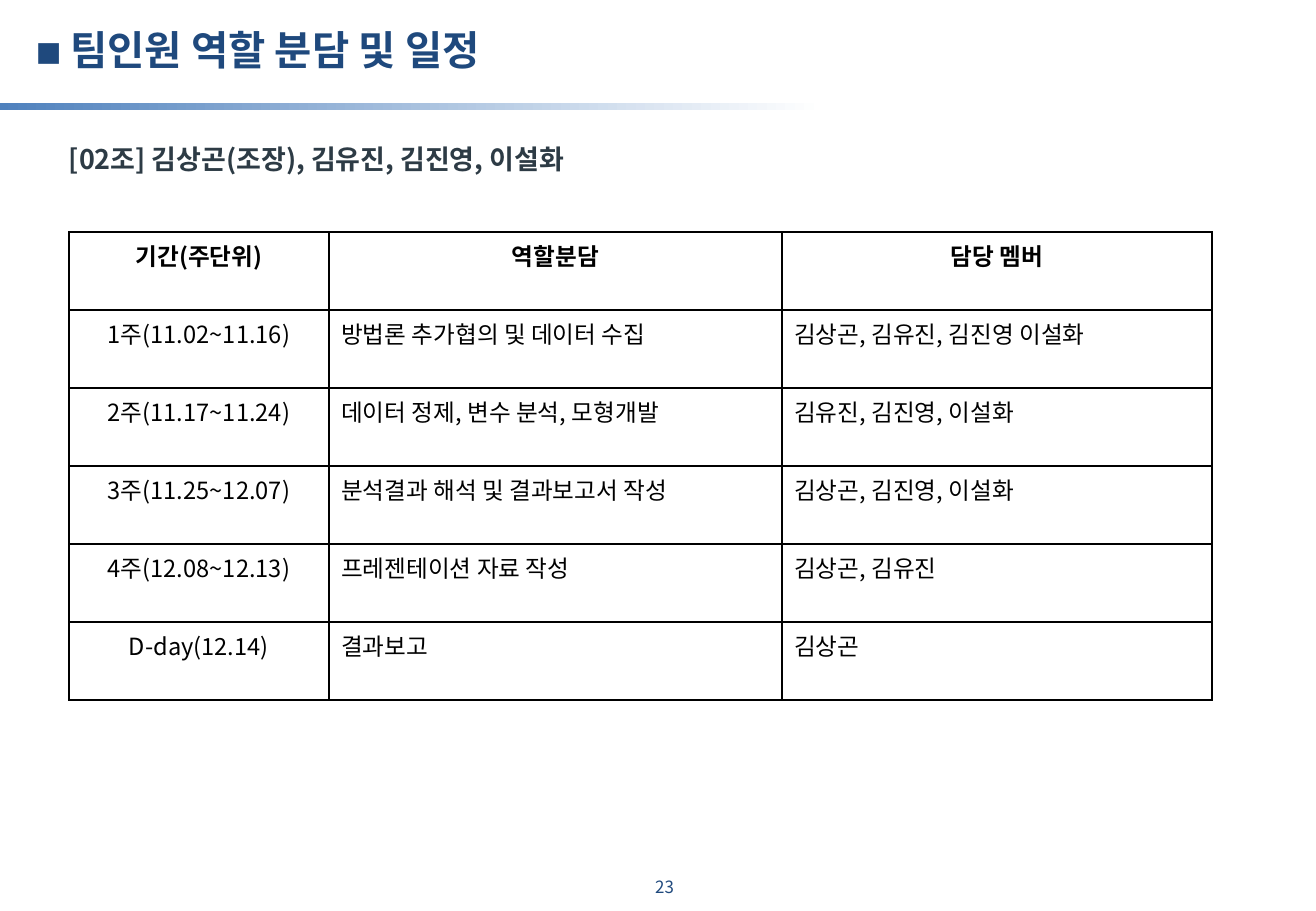
"""Build the slide on team roles and schedule."""
from dataclasses import dataclass

import pptx
import pptx.dml.color
import pptx.enum.shapes
import pptx.enum.text
import pptx.oxml.ns
import pptx.util
from lxml import etree

TITLE = "◼ 팀인원 역할 분담 및 일정"
TEAM = "[02조] 김상곤(조장), 김유진, 김진영, 이설화"
PAGE_NUMBER = "23"
SCHEDULE = [
    ("기간(주단위)", "역할분담", "담당 멤버"),
    ("1주(11.02~11.16)", "방법론 추가협의 및 데이터 수집", "김상곤, 김유진, 김진영 이설화"),
    ("2주(11.17~11.24)", "데이터 정제, 변수 분석, 모형개발", "김유진, 김진영, 이설화"),
    ("3주(11.25~12.07)", "분석결과 해석 및 결과보고서 작성", "김상곤, 김진영, 이설화"),
    ("4주(12.08~12.13)", "프레젠테이션 자료 작성", "김상곤, 김유진"),
    ("D-day(12.14)", "결과보고", "김상곤"),
]

SLIDE_SIZE = (1316, 911)
TITLE_BOX = (36, 24, 1012, 61)
BAR_BOX = (-1, 103, 824, 7)
TEAM_BOX = (69, 146, 640, 43)
PAGE_BOX = (626, 869, 67, 38)
TABLE_ORIGIN = (69, 232)
COLUMN_WIDTHS = (260, 453, 430)
ROW_HEIGHT = 78
EMU_PER_PX = 7526


@dataclass(frozen=True)
class Theme:
    """Hold the font, colours and type sizes."""
    font: str = "Noto Sans CJK KR"
    navy: str = "1F497D"
    blue: str = "4F81BD"
    white: str = "FFFFFF"
    slate: str = "2D3B45"
    black: str = "000000"
    title_size: int = 24
    team_size: int = 16
    table_size: int = 14
    page_size: int = 10
    border_width: int = 1
    line_spacing: float = 0.9


THEME = Theme()
ALIGN = pptx.enum.text.PP_ALIGN


def px(*lengths):
    """Turn pixel lengths into EMU."""
    return [pptx.util.Emu(length * EMU_PER_PX) for length in lengths]


def rgb(value):
    """Return a colour from its hex value."""
    return pptx.dml.color.RGBColor.from_string(value)


def write(text_frame, text, size, color, bold=False, align=ALIGN.LEFT, line_spacing=None):
    """Write one formatted paragraph and return it."""
    paragraph = text_frame.paragraphs[0]
    paragraph.alignment = align
    paragraph.line_spacing = line_spacing
    run = paragraph.add_run()
    run.text = text
    run.font.name = THEME.font
    run.font.size = pptx.util.Pt(size)
    run.font.bold = bold
    run.font.color.rgb = rgb(color)
    east_asian = etree.SubElement(run.font._element, pptx.oxml.ns.qn("a:ea"))
    east_asian.set("typeface", THEME.font)
    return paragraph


def set_frame(text_frame, margins):
    """Set wrapping, top anchoring and margins given as left, top, right, bottom."""
    text_frame.word_wrap = True
    text_frame.auto_size = pptx.enum.text.MSO_AUTO_SIZE.NONE
    text_frame.vertical_anchor = pptx.enum.text.MSO_ANCHOR.TOP
    (text_frame.margin_left, text_frame.margin_top,
     text_frame.margin_right, text_frame.margin_bottom) = px(*margins)


def add_title(slide):
    """Place and format the title."""
    title = slide.shapes.title
    title.left, title.top, title.width, title.height = px(*TITLE_BOX)
    set_frame(title.text_frame, (0, 6, 12, 6))
    paragraph = write(title.text_frame, TITLE, THEME.title_size, THEME.navy,
                      bold=True, line_spacing=THEME.line_spacing)
    properties = paragraph._p.get_or_add_pPr()
    hanging = px(24)[0]
    properties.set("marL", str(hanging))
    properties.set("indent", str(-hanging))


def add_bar(slide):
    """Add the fading bar below the title."""
    bar = slide.shapes.add_shape(pptx.enum.shapes.MSO_SHAPE.RECTANGLE, *px(*BAR_BOX))
    bar.shadow.inherit = False
    bar.line.fill.background()
    bar.fill.gradient()
    bar.fill.gradient_angle = 0
    for stop, color in zip(bar.fill.gradient_stops, (THEME.blue, THEME.white)):
        stop.color.rgb = rgb(color)


def add_label(slide, box, margins, text, **text_format):
    """Add a text box with one paragraph."""
    label = slide.shapes.add_textbox(*px(*box))
    set_frame(label.text_frame, margins)
    write(label.text_frame, text, line_spacing=THEME.line_spacing, **text_format)


def set_borders(cell):
    """Draw a line on each side of a cell."""
    properties = cell._tc.get_or_add_tcPr()
    for side in ("a:lnL", "a:lnR", "a:lnT", "a:lnB"):
        line = etree.SubElement(properties, pptx.oxml.ns.qn(side))
        line.set("w", str(pptx.util.Pt(THEME.border_width)))
        fill = etree.SubElement(line, pptx.oxml.ns.qn("a:solidFill"))
        etree.SubElement(fill, pptx.oxml.ns.qn("a:srgbClr")).set("val", THEME.black)


def add_schedule(slide):
    """Add the schedule table."""
    size = (sum(COLUMN_WIDTHS), ROW_HEIGHT * len(SCHEDULE))
    table = slide.shapes.add_table(len(SCHEDULE), len(COLUMN_WIDTHS),
                                   *px(*TABLE_ORIGIN, *size)).table
    table.first_row = table.horz_banding = False
    for column, width in zip(table.columns, px(*COLUMN_WIDTHS)):
        column.width = width
    for row_index, texts in enumerate(SCHEDULE):
        table.rows[row_index].height = px(ROW_HEIGHT)[0]
        for column_index, text in enumerate(texts):
            cell = table.cell(row_index, column_index)
            is_header = row_index == 0
            centred = is_header or column_index == 0
            write(cell.text_frame, text, THEME.table_size, THEME.black, bold=is_header,
                  align=ALIGN.CENTER if centred else ALIGN.LEFT)
            set_borders(cell)
            cell.fill.background()


def main():
    """Build and save the presentation."""
    presentation = pptx.Presentation()
    presentation.slide_width, presentation.slide_height = px(*SLIDE_SIZE)
    slide = presentation.slides.add_slide(presentation.slide_layouts.get_by_name("Title Only"))
    add_bar(slide)
    add_title(slide)
    add_label(slide, TEAM_BOX, (0, 0, 0, 0), TEAM,
              size=THEME.team_size, color=THEME.slate, bold=True)
    add_schedule(slide)
    add_label(slide, PAGE_BOX, (10, 10, 0, 0), PAGE_NUMBER,
              size=THEME.page_size, color=THEME.navy, align=ALIGN.CENTER)
    presentation.save("out.pptx")


if __name__ == "__main__":
    main()
